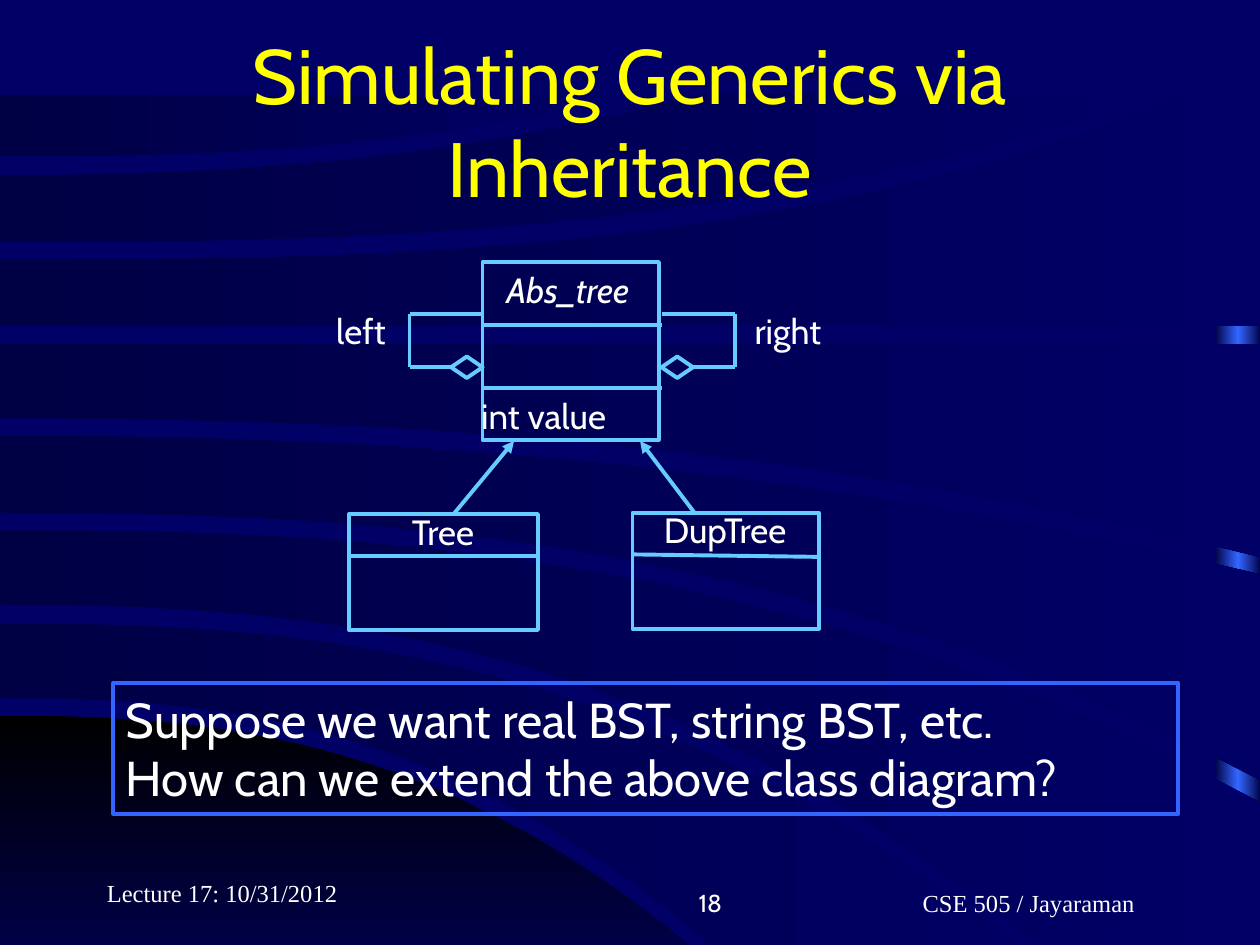
from copy import deepcopy
from dataclasses import dataclass

from lxml.etree import SubElement
from pptx import Presentation
from pptx.dml.color import RGBColor
from pptx.enum.shapes import MSO_CONNECTOR, MSO_SHAPE
from pptx.enum.text import MSO_ANCHOR, PP_ALIGN
from pptx.oxml.ns import qn
from pptx.util import Inches, Pt


@dataclass(frozen=True)
class Theme:
    navy: str = "000066"
    deep: str = "000044"
    black: str = "000000"
    blue: str = "3366FF"
    sky: str = "66CCFF"
    white: str = "FFFFFF"
    yellow: str = "FFFF00"
    sans: str = "Cabin"
    serif: str = "Times New Roman"
    title: int = 44
    body: int = 28
    label: int = 20
    footer: int = 14
    stroke: float = 2.25


@dataclass(frozen=True)
class Edge:
    """Curve from the left side at height start to the point (reach, end)."""
    start: float
    end: float
    reach: float = 10
    power: float = 2.5

    def points(self, widest, steps=24):
        ts = [i / steps for i in range(steps + 1)]
        drop = self.end - self.start
        curve = [(self.reach * t, self.start + drop * t ** self.power) for t in ts]
        return curve + [(widest, self.end)]


T = Theme()

# Upper and lower edge of each background area, from back to front.
HILL = (Edge(5.68, 8.27, 6.29), Edge(8.27, 8.27, 6.29))
BANDS = [
    (Edge(4.95, 8.25, 8.94), Edge(5.54, 8.25, 6.43)),
    (Edge(4.21, 6.37), Edge(4.8, 8.25, 9.1)),
    (Edge(3.46, 4.56, power=2.2), Edge(4.07, 6.19)),
    (Edge(2.73, 2.73), Edge(3.32, 4.42, power=2.3)),
    (Edge(2.06, 0.75, 9.44, 2.9), Edge(2.59, 2.59)),
    (Edge(1.39, 0.75, 5.57, 2.35), Edge(1.92, 0.75, 9.18, 2.7)),
    (Edge(0.75, 0.75, 5.02), Edge(1.24, 0.75, 5.02)),
]


def rgb(color):
    return RGBColor.from_string(color)


def gradient(sp, colors, angle=0):
    """Fill a borderless shape with evenly spaced colour stops."""
    sp.shadow.inherit = False
    sp.line.fill.background()
    sp.fill.gradient()
    sp.fill.gradient_angle = angle
    stops = sp._element.spPr.find(".//" + qn("a:gsLst"))
    for _ in colors[2:]:
        stops.append(deepcopy(stops[0]))
    for i, (stop, color) in enumerate(zip(sp.fill.gradient_stops, colors)):
        stop.color.rgb = rgb(color)
        stop.position = i / (len(colors) - 1)


def outline(shapes, kind, x, y, w, h, color=T.sky):
    sp = shapes.add_shape(kind, *map(Inches, (x, y, w, h)))
    sp.shadow.inherit = False
    sp.fill.background()
    sp.line.color.rgb = rgb(color)
    sp.line.width = Pt(T.stroke)
    return sp


def line(shapes, start, end, arrow=False):
    cn = shapes.add_connector(MSO_CONNECTOR.STRAIGHT, *map(Inches, (*start, *end)))
    cn.line.color.rgb = rgb(T.sky)
    cn.line.width = Pt(T.stroke)
    if arrow:
        ln = cn._element.spPr.find(qn("a:ln"))
        SubElement(ln, qn("a:tailEnd"), type="triangle")
    SubElement(cn._element.spPr, qn("a:effectLst"))


def write(sp, text, size, font=T.sans, color=T.white, align=PP_ALIGN.LEFT,
          anchor=MSO_ANCHOR.TOP, italic=False, wrap=True):
    tf = sp.text_frame
    tf.text = text
    tf.word_wrap = wrap
    tf.vertical_anchor = anchor
    for p in tf.paragraphs:
        p.alignment = align
        p.font.size = Pt(size)
        p.font.name = font
        p.font.italic = italic
        p.font.color.rgb = rgb(color)


def label(shapes, x, y, w, text, size=T.label, h=0.44, **style):
    write(shapes.add_textbox(*map(Inches, (x, y, w, h))), text, size, **style)


def band(shapes, upper, lower, colors, angle=0):
    widest = max(upper.reach, lower.reach)
    points = upper.points(widest) + lower.points(widest)[::-1]
    points = [(Inches(x), Inches(y)) for x, y in points]
    builder = shapes.build_freeform(*points[0])
    builder.add_line_segments(points[1:], close=True)
    gradient(builder.convert_to_shape(), colors, angle)


def background(slide):
    slide.background.fill.solid()
    slide.background.fill.fore_color.rgb = rgb(T.navy)
    shapes = slide.shapes
    bar = shapes.add_shape(MSO_SHAPE.RECTANGLE, Inches(9.64), Inches(0.77),
                           Inches(0.37), Inches(7.5))
    gradient(bar, [T.deep, T.blue, T.deep])
    band(shapes, *HILL, [T.black, T.navy], angle=270)
    for edges in BANDS:
        band(shapes, *edges, [T.deep, T.navy])


def base_class(shapes, x, y):
    """Three-part class box with its two self-references."""
    right = x + 1.42
    outline(shapes, MSO_SHAPE.RECTANGLE, x, y, 1.4, 1.41)
    for dy in (0.5, 1):
        line(shapes, (x, y + dy), (right, y + dy))
    label(shapes, x + 0.09, y, 1.33, "Abs_tree", italic=True)
    label(shapes, x - 0.11, y + 1, 1.31, "int value", wrap=False)
    self_reference(shapes, x, y + 0.41, -1)
    self_reference(shapes, right, y + 0.41, 1)
    label(shapes, x - 1.26, y + 0.33, 0.62, "left", wrap=False)
    label(shapes, x + 2.06, y + 0.33, 0.83, "right", wrap=False)


def self_reference(shapes, x, y, side):
    """Loop leaving the class edge at x towards side, ending in a diamond."""
    far, tip, low = x + 0.58 * side, x + 0.25 * side, y + 0.42
    outline(shapes, MSO_SHAPE.DIAMOND, min(x, tip), low - 0.08, 0.25, 0.17)
    corners = [(x, y), (far, y), (far, low), (tip, low)]
    for start, end in zip(corners, corners[1:]):
        line(shapes, start, end)


def subclass(shapes, x, y, w, name, name_x, name_w, slope=0):
    outline(shapes, MSO_SHAPE.RECTANGLE, x, y, w, 0.92)
    line(shapes, (x, y + 0.33), (x + w, y + 0.33 + slope))
    label(shapes, x + name_x, y - 0.08, name_w, name)


def class_diagram(shapes, x, y):
    base_class(shapes, x + 1.06, y)
    subclass(shapes, x, y + 2, 1.5, "Tree", 0.4, 0.83)
    subclass(shapes, x + 2.25, y + 1.99, 1.48, "DupTree", 0.15, 1.33, slope=0.02)
    for start, end in ((0.83, 1.31), (2.75, 2.31)):
        line(shapes, (x + start, y + 2), (x + end, y + 1.42), arrow=True)


def question(shapes, x, y, w, h):
    sp = outline(shapes, MSO_SHAPE.RECTANGLE, x, y, w, h, T.blue)
    write(sp, "Suppose we want real BST, string BST, etc.\n"
              "How can we extend the above class diagram?", T.body)


def footer(shapes, x, y):
    for dx, dy, w, text, font, align in (
            (0, 0, 2.08, "Lecture 17: 10/31/2012", T.serif, PP_ALIGN.LEFT),
            (3, 0.08, 2.08, "18", T.sans, PP_ALIGN.RIGHT),
            (5.83, 0.08, 3.17, "CSE 505 / Jayaraman", T.serif, PP_ALIGN.CENTER)):
        label(shapes, x + dx, y + dy, w, text, T.footer, h=0.5, font=font,
              align=align, anchor=MSO_ANCHOR.BOTTOM)


def main():
    prs = Presentation()
    prs.slide_width, prs.slide_height = Inches(10), Inches(7.5)
    slide = prs.slides.add_slide(prs.slide_layouts[6])
    shapes = slide.shapes
    background(slide)
    label(shapes, 0.75, 0.33, 8.5, "Simulating Generics via Inheritance", T.title,
          h=1.25, color=T.yellow, align=PP_ALIGN.CENTER, anchor=MSO_ANCHOR.MIDDLE)
    class_diagram(shapes, 2.77, 2.08)
    question(shapes, 0.9, 5.42, 8.45, 1.04)
    footer(shapes, 0.75, 6.75)
    prs.save("out.pptx")


if __name__ == "__main__":
    main()
